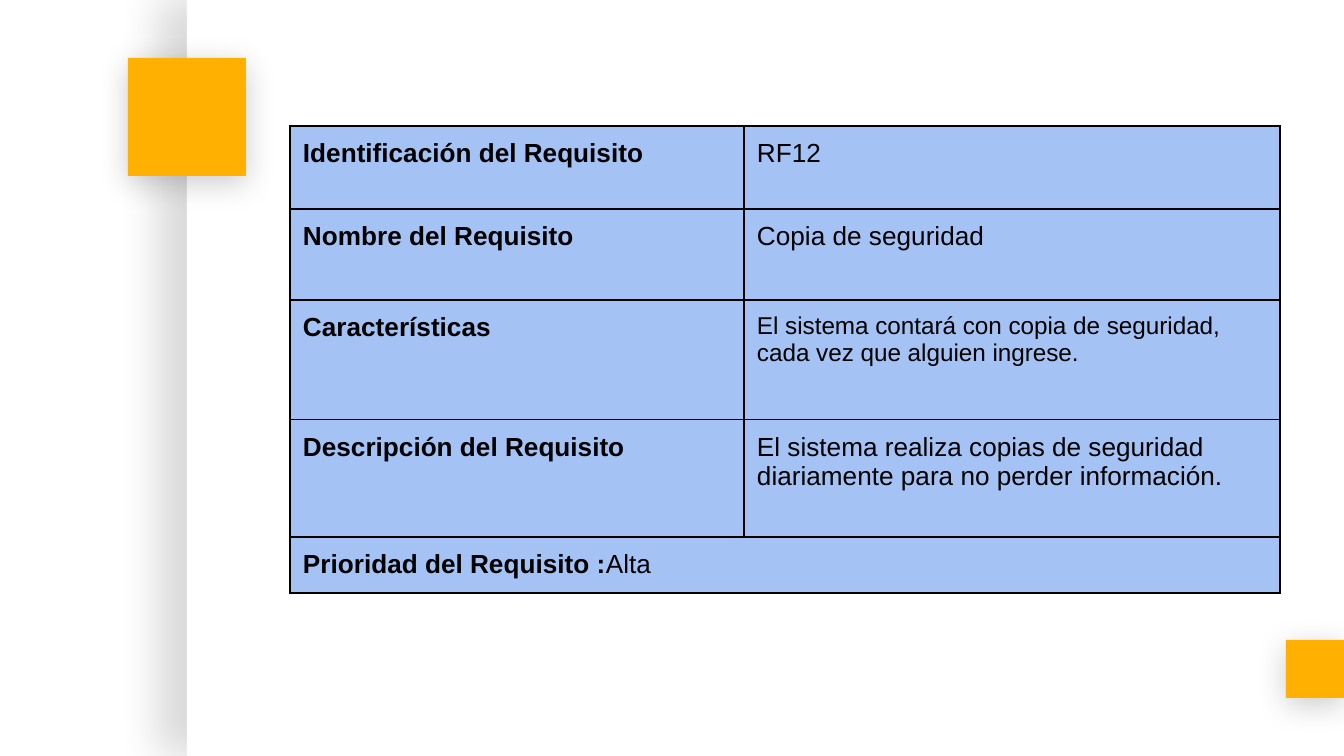
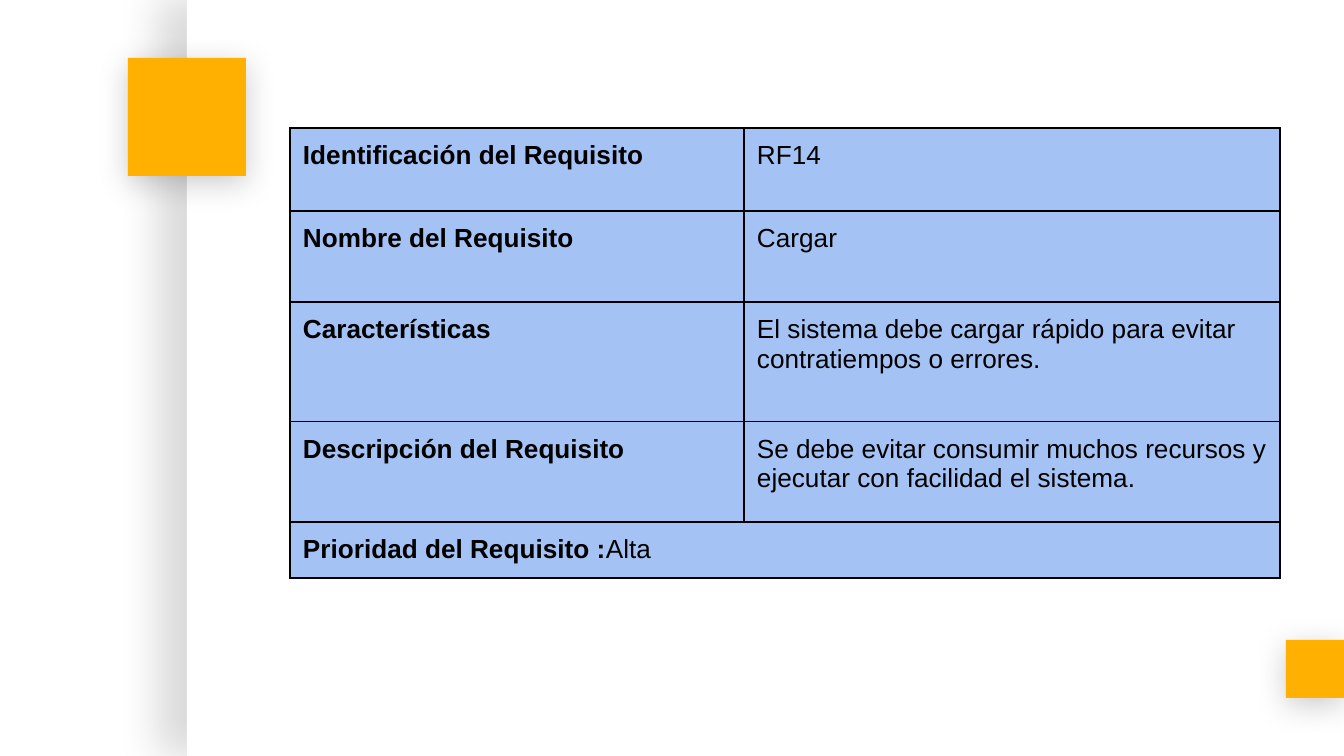
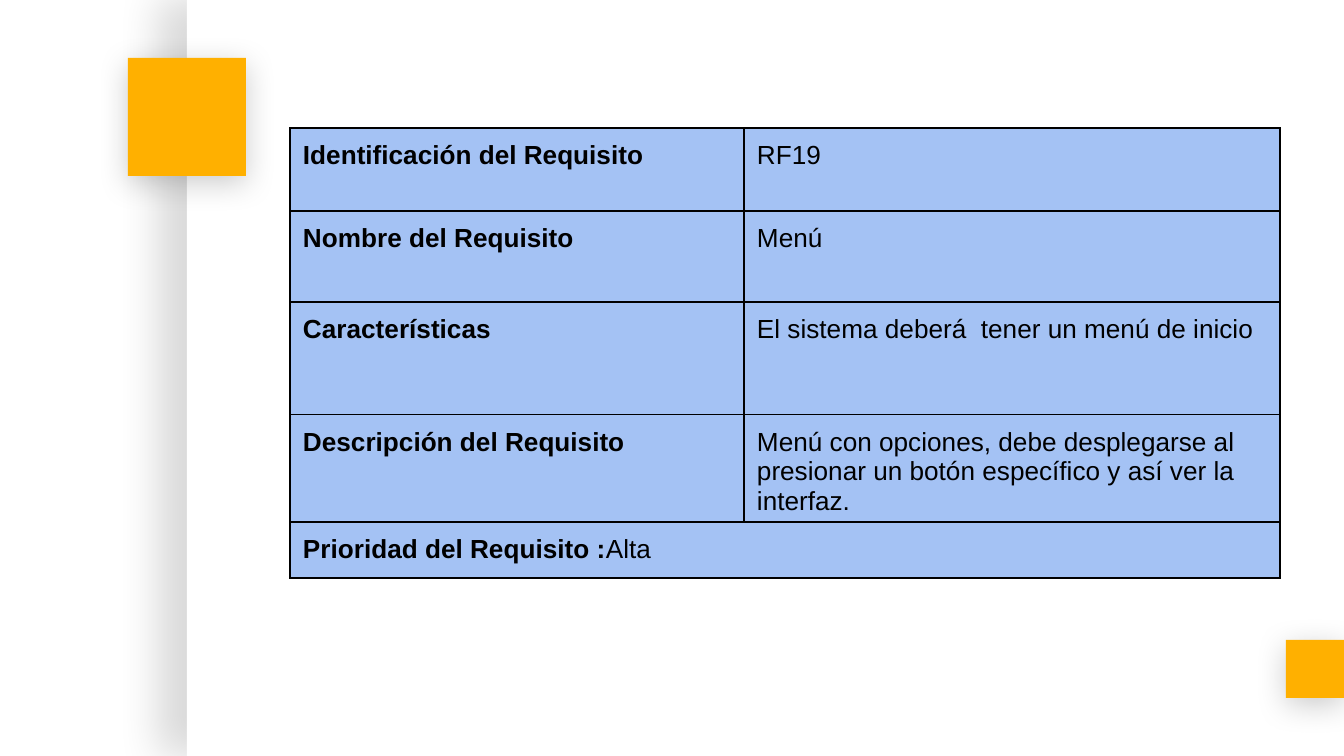
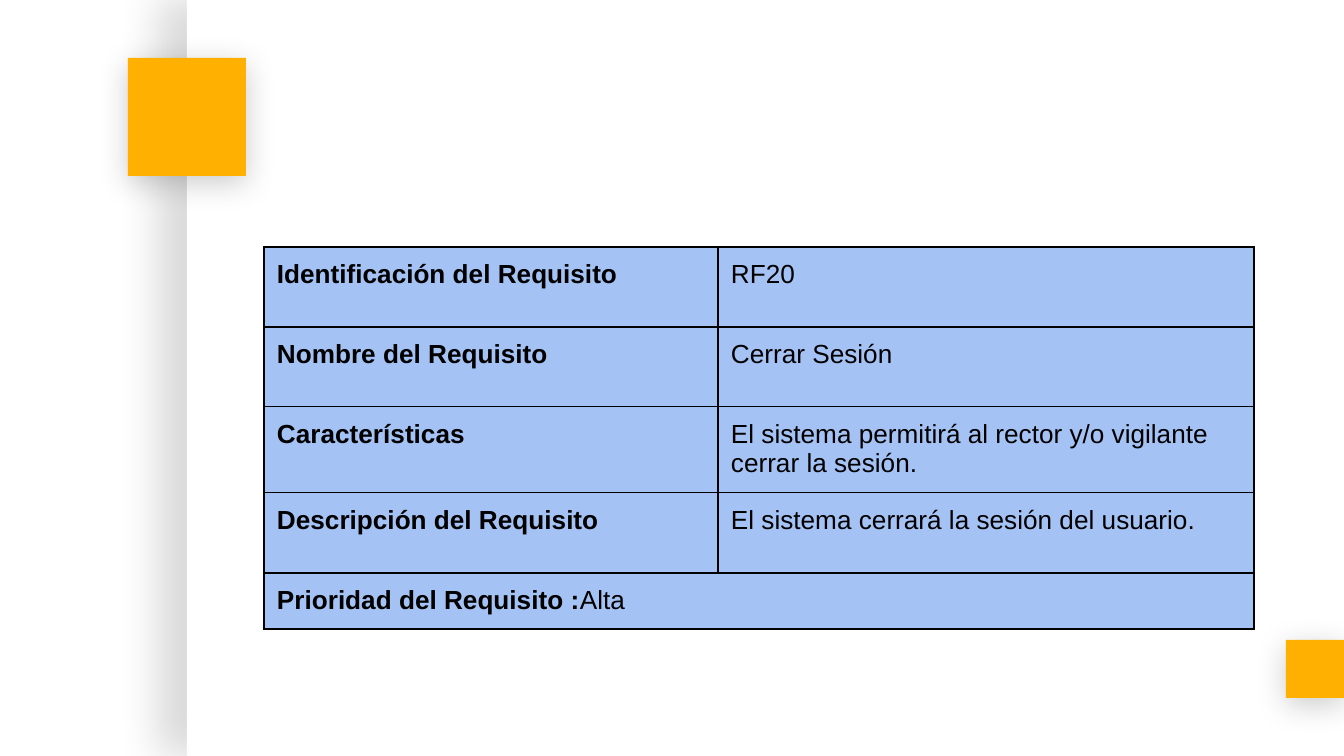
from lxml import etree
from pptx import Presentation
from pptx.dml.color import RGBColor
from pptx.enum.shapes import MSO_SHAPE
from pptx.oxml.ns import qn
from pptx.util import Pt

RECTANGLE = MSO_SHAPE.RECTANGLE
SCALE = 914400 / 134.4
BLANK_LAYOUT = 6
FONT = "Arial"
COLORS = {"paper": "FFFFFF", "accent": "FFB000", "cell": "A4C2F4", "ink": "000000"}

LABELS = [
    "Identificación del Requisito",
    "Nombre del Requisito",
    "Características",
    "Descripción del Requisito",
]
PRIORITY_LABEL = "Prioridad del Requisito :"

REQUIREMENTS = [
    {
        "values": [
            "RF12",
            "Copia de seguridad",
            "El sistema contará con copia de seguridad, cada vez que alguien ingrese.",
            "El sistema realiza copias de seguridad diariamente para no perder información.",
        ],
        "sizes": [14, 14, 13, 14],
        "priority": "Alta",
        "left": 290, "top": 126, "rows": [83, 91, 120, 117], "priority_top": 537,
    },
    {
        "values": [
            "RF14",
            "Cargar",
            "El sistema debe cargar rápido para evitar contratiempos o errores.",
            "Se debe evitar consumir muchos recursos y ejecutar con facilidad el sistema.",
        ],
        "sizes": [14] * 4,
        "priority": "Alta",
        "left": 290, "top": 128, "rows": [83, 91, 120, 100], "priority_top": 522,
    },
    {
        "values": [
            "RF19",
            "Menú",
            "El sistema deberá  tener un menú de inicio",
            "Menú con opciones, debe desplegarse al presionar un botón específico "
            "y así ver la interfaz.",
        ],
        "sizes": [14] * 4,
        "priority": "Alta",
        "left": 290, "top": 128, "rows": [83, 91, 113, 100], "priority_top": 522,
    },
    {
        "values": [
            "RF20",
            "Cerrar Sesión",
            "El sistema permitirá al rector y/o vigilante cerrar la sesión.",
            "El sistema cerrará la sesión del usuario.",
        ],
        "sizes": [14] * 4,
        "priority": "Alta",
        "left": 264, "top": 247, "rows": [80, 80, 86, 80], "priority_top": 573,
    },
]

PAGE_WIDTH, PAGE_HEIGHT = 1344, 756
COLUMNS = [454, 536]
PRIORITY_HEIGHT = 56
CELL_MARGIN = 13
BORDER_WIDTH = 0.75

SIDE_SHADOW = {"alpha": 15, "blur": 22.5, "distance": 15, "angle": 180}
SQUARE_SHADOW = {"alpha": 20, "blur": 16.9, "distance": 3.8, "angle": 90}
DECORATION = [
    ((187, 0, 1157, PAGE_HEIGHT), "paper", SIDE_SHADOW),
    ((1286, 640, 58, 58), "accent", SQUARE_SHADOW),
    ((128, 58, 118, 118), "accent", SQUARE_SHADOW),
]


def px(length):
    return round(length * SCALE)


def color(name):
    return RGBColor.from_string(COLORS[name])


def add_child(parent, tag, **attributes):
    texts = {name: str(value) for name, value in attributes.items()}
    return etree.SubElement(parent, qn(tag), texts)


def add_shadow(shape, alpha, blur, distance, angle):
    shape.shadow.inherit = False
    effects = shape.element.spPr.find(qn("a:effectLst"))
    shadow = add_child(effects, "a:outerShdw", blurRad=Pt(blur), dist=Pt(distance),
                       dir=angle * 60000, algn="ctr", rotWithShape=0)
    ink = add_child(shadow, "a:srgbClr", val=COLORS["ink"])
    add_child(ink, "a:alpha", val=alpha * 1000)


def decorate_master(page, master):
    for bounds, fill, shadow in DECORATION:
        box = page.shapes.add_shape(RECTANGLE, *map(px, bounds))
        box.fill.solid()
        box.fill.fore_color.rgb = color(fill)
        box.line.fill.background()
        add_shadow(box, **shadow)
        master.shapes.element.append(box.element)


def write(para, text, size=14, bold=False):
    span = para.add_run()
    span.text = text
    span.font.name = FONT
    span.font.size = Pt(size)
    span.font.bold = bold
    span.font.color.rgb = color("ink")


def style_cell(cell):
    cell.margin_left = cell.margin_right = px(CELL_MARGIN)
    cell.margin_top = cell.margin_bottom = px(CELL_MARGIN)
    cell.fill.solid()
    cell.fill.fore_color.rgb = color("cell")
    properties = cell._tc.get_or_add_tcPr()
    for index, side in enumerate("LRTB"):
        border = add_child(properties, f"a:ln{side}", w=Pt(BORDER_WIDTH))
        fill = add_child(border, "a:solidFill")
        add_child(fill, "a:srgbClr", val=COLORS["ink"])
        properties.insert(index, border)


def add_grid(page, left, top, columns, rows):
    bounds = left, top, sum(columns), sum(rows)
    table = page.shapes.add_table(len(rows), len(columns), *map(px, bounds)).table
    table.first_row = table.horz_banding = False
    for column, width in zip(table.columns, columns):
        column.width = px(width)
    for row, height in zip(table.rows, rows):
        row.height = px(height)
    for cell in table.iter_cells():
        style_cell(cell)
    return table


def add_requirement(page, item):
    table = add_grid(page, item["left"], item["top"], COLUMNS, item["rows"])
    for row, (label, value, size) in enumerate(zip(LABELS, item["values"], item["sizes"])):
        write(table.cell(row, 0).text_frame.paragraphs[0], label, bold=True)
        write(table.cell(row, 1).text_frame.paragraphs[0], value, size=size)
    footer = add_grid(page, item["left"], item["priority_top"],
                      [sum(COLUMNS)], [PRIORITY_HEIGHT])
    para = footer.cell(0, 0).text_frame.paragraphs[0]
    write(para, PRIORITY_LABEL, bold=True)
    write(para, item["priority"])


def main():
    deck = Presentation()
    deck.slide_width, deck.slide_height = px(PAGE_WIDTH), px(PAGE_HEIGHT)
    master = deck.slide_master
    master.background.fill.solid()
    master.background.fill.fore_color.rgb = color("paper")
    pages = [deck.slides.add_slide(deck.slide_layouts[BLANK_LAYOUT]) for _ in REQUIREMENTS]
    decorate_master(pages[0], master)
    for page, item in zip(pages, REQUIREMENTS):
        add_requirement(page, item)
    deck.save("out.pptx")


if __name__ == "__main__":
    main()
